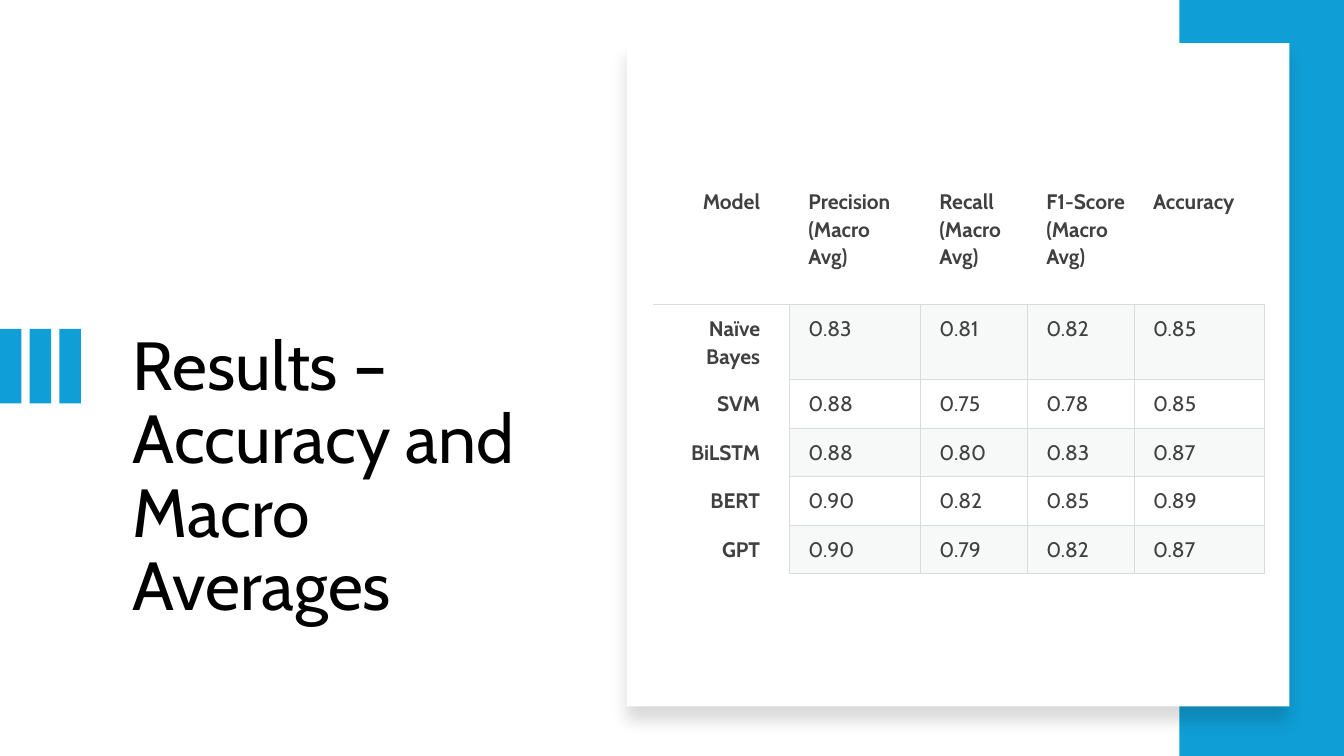
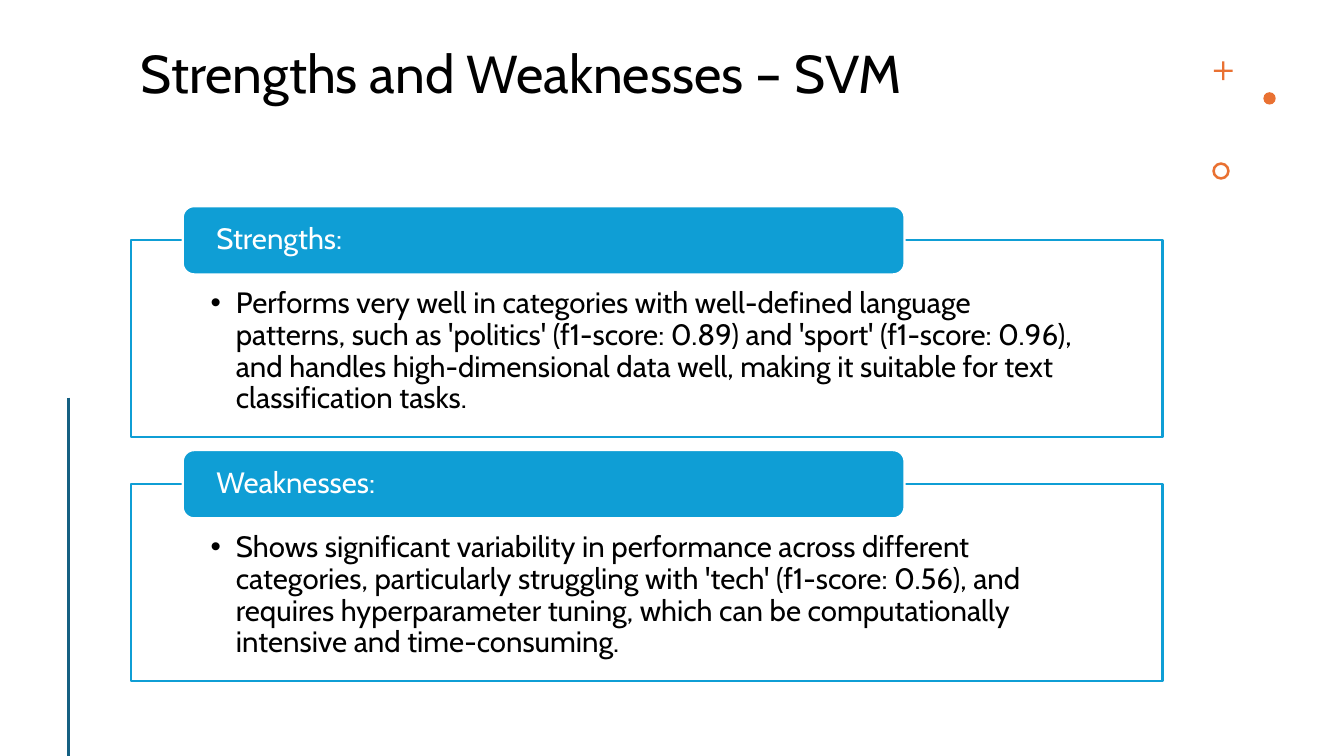
from lxml import etree
from pptx import Presentation
from pptx.dml.color import RGBColor
from pptx.enum.shapes import MSO_CONNECTOR, MSO_SHAPE
from pptx.enum.text import MSO_ANCHOR, PP_ALIGN
from pptx.oxml.ns import qn
from pptx.util import Inches, Pt

RECT, ROUND, OVAL = MSO_SHAPE.RECTANGLE, MSO_SHAPE.ROUNDED_RECTANGLE, MSO_SHAPE.OVAL
CROSS, RING = MSO_SHAPE.CROSS, MSO_SHAPE.DONUT
STRAIGHT = MSO_CONNECTOR.STRAIGHT
LEFT, RIGHT = PP_ALIGN.LEFT, PP_ALIGN.RIGHT
TOP, MIDDLE = MSO_ANCHOR.TOP, MSO_ANCHOR.MIDDLE

FONT = "Cabin"
HEX = {"blue": "0F9ED5", "navy": "156082", "orange": "E97132", "white": "FFFFFF",
       "black": "000000", "gray": "404040", "rule": "D8DCDC", "stripe": "F7F8F8"}
COLORS = {name: RGBColor.from_string(value) for name, value in HEX.items()}

deck = Presentation()
deck.slide_width, deck.slide_height = Inches(13.33), Inches(7.5)
BLANK = deck.slide_layouts[6]
# Lengths below are percentages of the slide's width (COL) and height (ROW).
COL, ROW = deck.slide_width / 100, deck.slide_height / 100


def write(holder, text, size=21, color="black", bold=False, align=LEFT, spacing=0.9,
          insets=(0.1, 0.05, 0.1, 0.05), anchor=TOP, bullet=False):
    """Fill a shape or table cell with one paragraph; insets are left, top, right, bottom inches."""
    frame = holder.text_frame
    frame.word_wrap = True
    holder_margins = holder if hasattr(holder, "margin_left") else frame
    for side, inset in zip(("left", "top", "right", "bottom"), insets):
        setattr(holder_margins, f"margin_{side}", Inches(inset))
    holder_margins.vertical_anchor = anchor
    para = frame.paragraphs[0]
    para.alignment, para.line_spacing = align, spacing
    if bullet:
        properties = para._p.get_or_add_pPr()
        properties.set("marL", str(Inches(0.25)))
        properties.set("indent", str(-Inches(0.25)))
        etree.SubElement(properties, qn("a:buFont"), typeface="Arial")
        etree.SubElement(properties, qn("a:buChar"), char="•")
    span = para.add_run()
    span.text = text
    span.font.name, span.font.size, span.font.bold = FONT, Pt(size), bold
    span.font.color.rgb = COLORS[color]


def add_box(page, x, y, width, height, fill=None, line=None, kind=RECT, adjust=None):
    box = page.shapes.add_shape(kind, int(x * COL), int(y * ROW), int(width * COL), int(height * ROW))
    box.shadow.inherit = False
    if fill:
        box.fill.solid()
        box.fill.fore_color.rgb = COLORS[fill]
    else:
        box.fill.background()
    if line:
        box.line.color.rgb, box.line.width = COLORS[line], Pt(1.5)
    else:
        box.line.fill.background()
    if adjust is not None:
        box.adjustments[0] = adjust
    return box


# Slide 1: results table on a raised card
page = deck.slides.add_slide(BLANK)
write(add_box(page, 9.15, 43.2, 33.08, 34.8), "Results – Accuracy and Macro Averages", size=48.6)
for bar in range(3):
    add_box(page, bar * 2.21, 43.5, 1.6, 9.87, "blue")
add_box(page, 87.75, 0, 12.25, 100, "blue")
card = add_box(page, 46.65, 5.7, 49.28, 87.75, "white")
shadow = etree.SubElement(card._element.spPr.find(qn("a:effectLst")), qn("a:outerShdw"),
                          blurRad=str(Pt(11)), dist=str(Pt(10)), dir="5400000", rotWithShape="0")
shade = etree.SubElement(shadow, qn("a:srgbClr"), val=HEX["black"])
etree.SubElement(shade, qn("a:alpha"), val="15000")

RESULTS = [
    ("Model", "Precision (Macro Avg)", "Recall (Macro Avg)", "F1-Score (Macro Avg)", "Accuracy"),
    ("Naïve Bayes", "0.83", "0.81", "0.82", "0.85"),
    ("SVM", "0.88", "0.75", "0.78", "0.85"),
    ("BiLSTM", "0.88", "0.80", "0.83", "0.87"),
    ("BERT", "0.90", "0.82", "0.85", "0.89"),
    ("GPT", "0.90", "0.79", "0.82", "0.87"),
]
WIDTHS = [10.13, 9.75, 7.95, 7.95, 9.68]
HEIGHTS = [16.8, 9.87] + [6.43] * 4
table = page.shapes.add_table(len(HEIGHTS), len(WIDTHS), int(48.6 * COL), int(23.5 * ROW),
                              int(sum(WIDTHS) * COL), int(sum(HEIGHTS) * ROW)).table
table.first_row = table.horz_banding = False
for column, width in zip(table.columns, WIDTHS):
    column.width = int(width * COL)
for row, height in zip(table.rows, HEIGHTS):
    row.height = int(height * ROW)
for r, values in enumerate(RESULTS):
    for c, value in enumerate(values):
        cell = table.cell(r, c)
        label, body = c == 0, r > 0 and c > 0
        write(cell, value, size=15, color="gray", bold=not body, align=RIGHT if label else LEFT,
              spacing=1.07, insets=(0.19, 0.1, 0.29 if label else 0.07, 0.1))
        if body and r % 2:
            cell.fill.solid()
            cell.fill.fore_color.rgb = COLORS["stripe"]
        else:
            cell.fill.background()
        ruled = {"L": body, "R": r > 0, "T": body or r == 1, "B": body or r == 0}
        for place, (side, shown) in enumerate(ruled.items()):
            border = etree.Element(qn(f"a:ln{side}"), w=str(Pt(0.75)))
            if shown:
                paint = etree.SubElement(border, qn("a:solidFill"))
                etree.SubElement(paint, qn("a:srgbClr"), val=HEX["rule"])
            else:
                etree.SubElement(border, qn("a:noFill"))
            cell._tc.get_or_add_tcPr().insert(place, border)

# Slide 2: two titled panels
page = deck.slides.add_slide(BLANK)
write(add_box(page, 9.75, 5.6, 76.75, 17.5), "Strengths and Weaknesses – SVM", size=38)
add_box(page, 90.32, 8.13, 1.4, 2.49, "orange", kind=CROSS, adjust=0.44)
add_box(page, 94, 12.2, 0.92, 1.63, "orange", kind=OVAL)
add_box(page, 90.2, 21.47, 1.3, 2.31, "orange", kind=RING, adjust=0.15)
rule = page.shapes.add_connector(STRAIGHT, int(5.1 * COL), int(52.6 * ROW), int(5.1 * COL), int(100 * ROW))
rule.line.color.rgb, rule.line.width = COLORS["navy"], Pt(2)
etree.SubElement(rule._element.spPr, qn("a:effectLst"))

PANELS = [
    ("Strengths:", "Performs very well in categories with well-defined language patterns, such as "
     "'politics' (f1-score: 0.89) and 'sport' (f1-score: 0.96), and handles high-dimensional data "
     "well, making it suitable for text classification tasks."),
    ("Weaknesses:", "Shows significant variability in performance across different categories, "
     "particularly struggling with 'tech' (f1-score: 0.56), and requires hyperparameter tuning, "
     "which can be computationally intensive and time-consuming."),
]
for index, (heading, detail) in enumerate(PANELS):
    top = 31.73 + index * 32.27
    panel = add_box(page, 9.75, top, 76.75, 26.05, "white", "blue")
    write(panel, detail, insets=(0.79, 0.48, 0.79, 0.16), bullet=True)
    tab = add_box(page, 13.6, top - 4.45, 53.7, 9, "blue", "white", ROUND)
    write(tab, heading, color="white", insets=(0.3, 0, 0.3, 0), anchor=MIDDLE)

deck.save("out.pptx")
